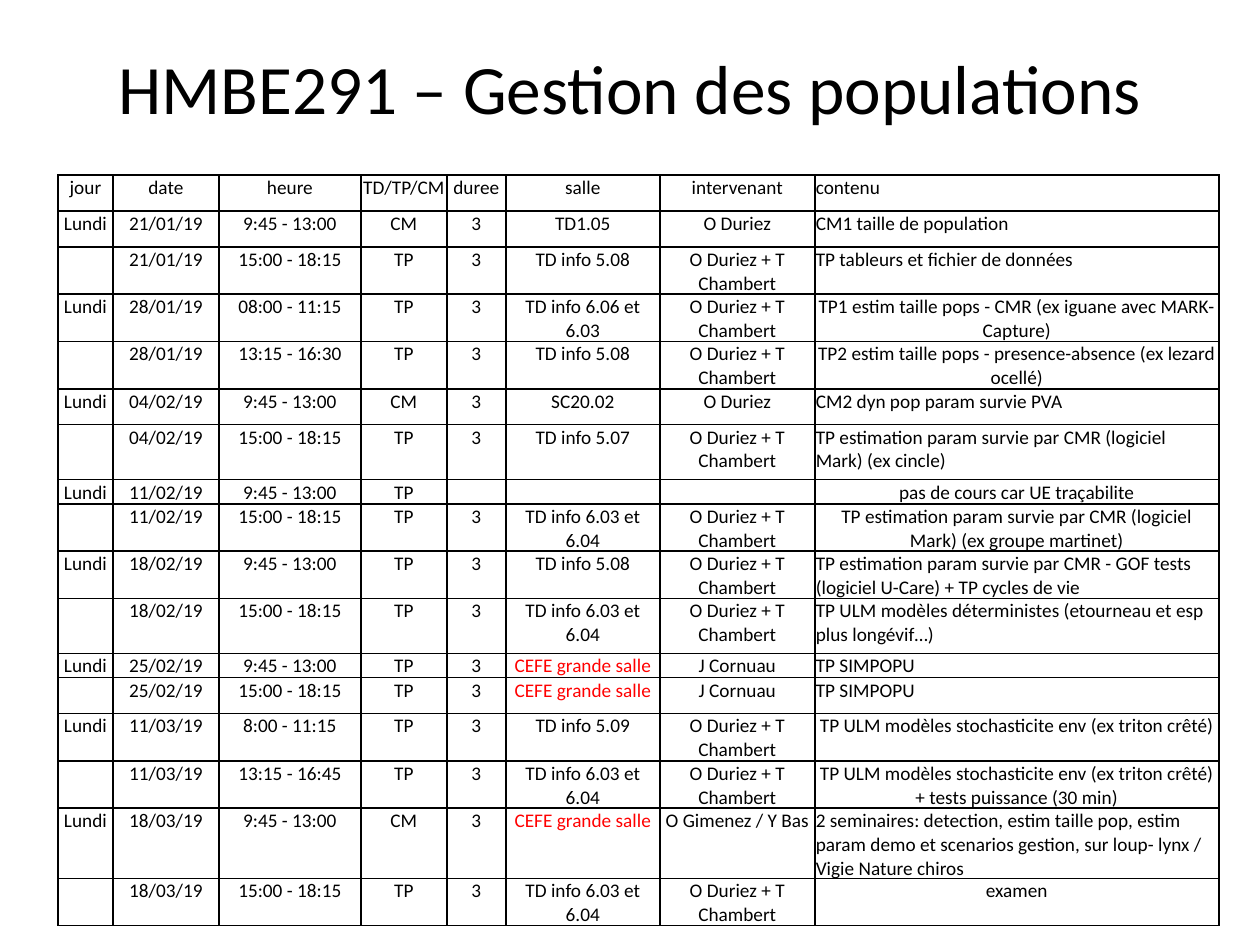
import pptx
import pptx.dml.color
import pptx.enum.text
import pptx.oxml.ns
import pptx.util
from lxml import etree

PX = 914400 / 126
BLACK = pptx.dml.color.RGBColor(0x00, 0x00, 0x00)
RED = pptx.dml.color.RGBColor(0xFF, 0x00, 0x00)
FONT = "Calibri"
LEFT = pptx.enum.text.PP_ALIGN.LEFT
CENTER = pptx.enum.text.PP_ALIGN.CENTER

SHORT, NORMAL, TALL = 19, 36, 55
COLUMN_WIDTHS = [55, 106, 142, 86, 59, 154, 155, 404]
HEADER = ["jour", "date", "heure", "TD/TP/CM", "duree", "salle", "intervenant", "contenu"]
DAY = "Lundi"
DURATION = "3"
MORNING, AFTERNOON = "9:45 - 13:00", "15:00 - 18:15"
TEAM = "O Duriez + T Chambert"
TWO_ROOMS = "TD info 6.03 et 6.04"
LARGE_ROOM = "CEFE grande salle"

# date: sessions as (row height, time, type, room, teacher, content, content alignment)
SESSIONS = {
    "21/01/19": [
        (NORMAL, MORNING, "CM", "TD1.05", "O Duriez", "CM1 taille de population", LEFT),
        (NORMAL, AFTERNOON, "TP", "TD info 5.08", TEAM,
         "TP tableurs et fichier de données", LEFT),
    ],
    "28/01/19": [
        (NORMAL, "08:00 - 11:15", "TP", "TD info 6.06 et 6.03", TEAM,
         "TP1 estim taille pops - CMR (ex iguane avec MARK-Capture)", CENTER),
        (SHORT, "13:15 - 16:30", "TP", "TD info 5.08", TEAM,
         "TP2 estim taille pops - presence-absence (ex lezard ocellé)", CENTER),
    ],
    "04/02/19": [
        (NORMAL, MORNING, "CM", "SC20.02", "O Duriez", "CM2 dyn pop param survie PVA", LEFT),
        (TALL, AFTERNOON, "TP", "TD info 5.07", TEAM,
         "TP estimation param survie par CMR (logiciel Mark) (ex cincle)", LEFT),
    ],
    "11/02/19": [
        (SHORT, MORNING, "TP", "", "", "pas de cours car UE traçabilite", CENTER),
        (NORMAL, AFTERNOON, "TP", TWO_ROOMS, TEAM,
         "TP estimation param survie par CMR (logiciel Mark) (ex groupe martinet)", CENTER),
    ],
    "18/02/19": [
        (NORMAL, MORNING, "TP", "TD info 5.08", TEAM,
         "TP estimation param survie par CMR - GOF tests (logiciel U-Care) + TP cycles de vie",
         LEFT),
        (TALL, AFTERNOON, "TP", TWO_ROOMS, TEAM,
         "TP ULM modèles déterministes (etourneau et esp plus longévif…)", LEFT),
    ],
    "25/02/19": [
        (SHORT, MORNING, "TP", LARGE_ROOM, "J Cornuau", "TP SIMPOPU", LEFT),
        (NORMAL, AFTERNOON, "TP", LARGE_ROOM, "J Cornuau", "TP SIMPOPU", LEFT),
    ],
    "11/03/19": [
        (NORMAL, "8:00 - 11:15", "TP", "TD info 5.09", TEAM,
         "TP ULM modèles stochasticite env (ex triton crêté)", CENTER),
        (NORMAL, "13:15 - 16:45", "TP", TWO_ROOMS, TEAM,
         "TP ULM modèles stochasticite env (ex triton crêté) + tests puissance (30 min)", CENTER),
    ],
    "18/03/19": [
        (TALL, MORNING, "CM", LARGE_ROOM, "O Gimenez / Y Bas",
         "2 seminaires: detection, estim taille pop, estim param demo et scenarios gestion, "
         "sur loup- lynx / Vigie Nature chiros", LEFT),
        (NORMAL, AFTERNOON, "TP", TWO_ROOMS, TEAM, "examen", CENTER),
    ],
}


def px(length):
    return pptx.util.Emu(round(length * PX))


def set_font(paragraph, size, color=BLACK):
    paragraph.font.name = FONT
    paragraph.font.size = pptx.util.Pt(size)
    paragraph.font.color.rgb = color


def add_title(slide, left, top, width, height):
    frame = slide.shapes.add_textbox(px(left), px(top), px(width), px(height)).text_frame
    frame.word_wrap = True
    frame.vertical_anchor = pptx.enum.text.MSO_ANCHOR.MIDDLE
    paragraph = frame.paragraphs[0]
    paragraph.text = "HMBE291 – Gestion des populations"
    paragraph.alignment = CENTER
    set_font(paragraph, 39.6)


def add_borders(cell):
    """Outline the cell with 1 pt black lines, placed before its fill."""
    properties = cell._tc.get_or_add_tcPr()
    for index, side in enumerate(("lnL", "lnR", "lnT", "lnB")):
        line = etree.Element(pptx.oxml.ns.qn(f"a:{side}"), w=str(pptx.util.Pt(1)))
        fill = etree.SubElement(line, pptx.oxml.ns.qn("a:solidFill"))
        etree.SubElement(fill, pptx.oxml.ns.qn("a:srgbClr"), val=str(BLACK))
        properties.insert(index, line)


def fill_cell(cell, text, alignment):
    cell.margin_left = cell.margin_right = cell.margin_top = px(1)
    cell.margin_bottom = 0
    cell.fill.background()
    add_borders(cell)
    paragraph = cell.text_frame.paragraphs[0]
    paragraph.alignment = alignment
    if text:
        paragraph.text = text
    else:
        # An empty cell takes its line height from the end mark.
        etree.SubElement(paragraph._p, pptx.oxml.ns.qn("a:endParaRPr"), sz="1100")
    set_font(paragraph, 11, RED if text == LARGE_ROOM else BLACK)


def schedule_rows():
    """Return (height, cell texts, content alignment) for every table row."""
    rows = [(NORMAL, HEADER, LEFT)]
    for date, sessions in SESSIONS.items():
        for index, (height, time, kind, room, teacher, content, alignment) in enumerate(sessions):
            day = DAY if index == 0 else ""
            duration = DURATION if room else ""
            texts = [day, date, time, kind, duration, room, teacher, content]
            rows.append((height, texts, alignment))
    return rows


def add_schedule(slide, left, top):
    rows = schedule_rows()
    table = slide.shapes.add_table(
        len(rows), len(COLUMN_WIDTHS), px(left), px(top),
        px(sum(COLUMN_WIDTHS)), px(sum(row[0] for row in rows))).table
    table.first_row = table.horz_banding = False
    for column, width in zip(table.columns, COLUMN_WIDTHS):
        column.width = px(width)
    for row, (height, texts, content_alignment) in zip(table.rows, rows):
        row.height = px(height)
        alignments = [CENTER] * (len(texts) - 1) + [content_alignment]
        for cell, text, alignment in zip(row.cells, texts, alignments):
            fill_cell(cell, text, alignment)


def main():
    presentation = pptx.Presentation()
    presentation.slide_width = px(1260)
    presentation.slide_height = px(945)
    slide = presentation.slides.add_slide(presentation.slide_layouts[6])
    add_title(slide, 63, 38, 1134, 97)
    add_schedule(slide, 58, 175)
    presentation.save("out.pptx")


if __name__ == "__main__":
    main()
